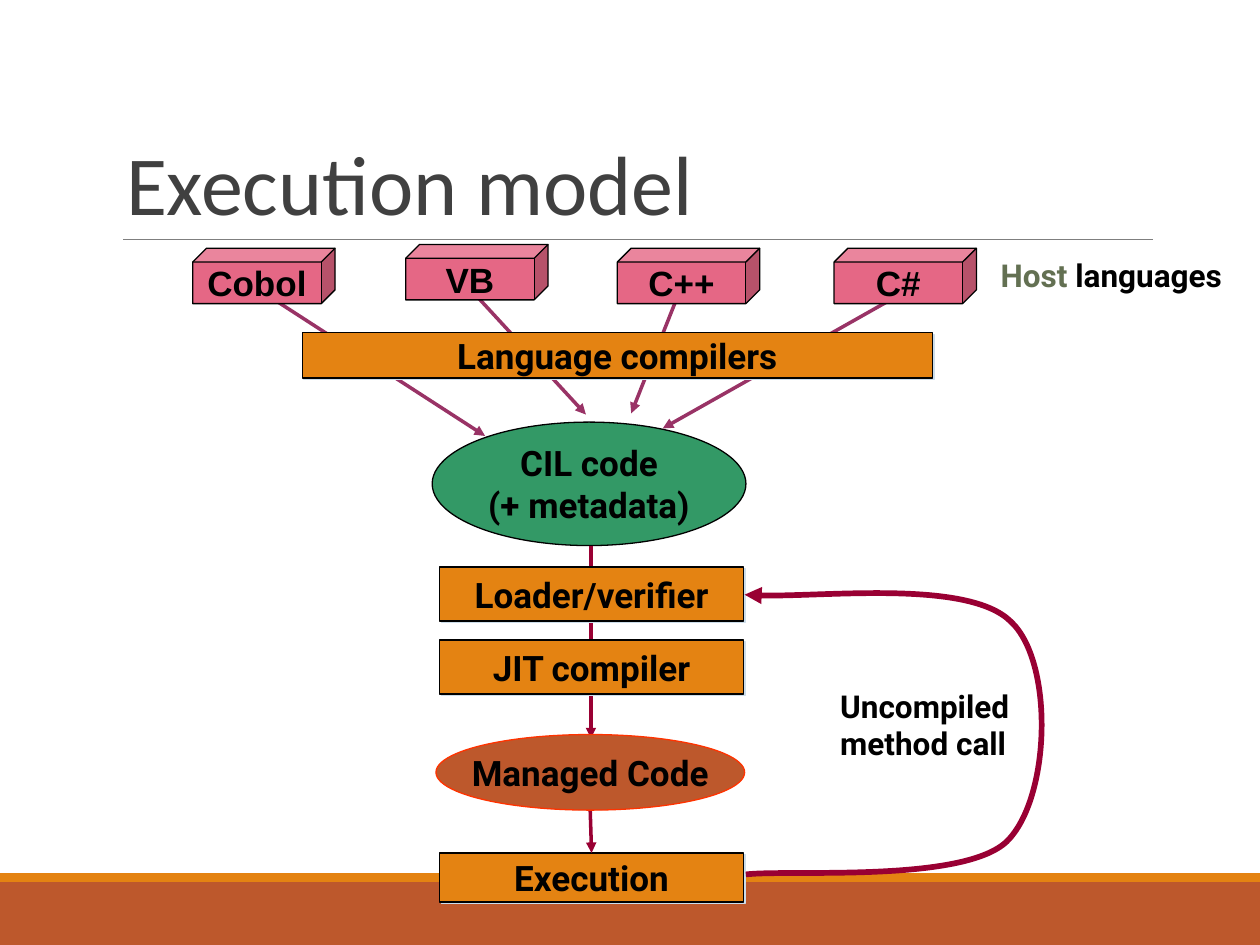
from lxml import etree
from pptx import Presentation
from pptx import util as u
from pptx.dml.color import RGBColor
from pptx.enum import shapes, text
from pptx.oxml.ns import qn

PX = 9144  # 100 px to the inch
BLACK, ORANGE, RUST = "000000", "E48312", "BD582C"
PINK, GREEN, PLUM, CRIMSON = "E56785", "339966", "993366", "990033"
SHAPE = shapes.MSO_SHAPE
CENTER = text.PP_ALIGN.CENTER


def px(*lengths):
    return [u.Emu(n * PX) for n in lengths]


def color(value):
    return RGBColor.from_string(value)


def write(frame, content, size=20, font="Roboto", ink=BLACK, bold=True, align=CENTER,
          anchor=text.MSO_ANCHOR.MIDDLE, wrap=False, spacing=None, lead=None):
    """Write lines of text; lead is a (text, colour) run before the first line."""
    frame.word_wrap = wrap
    frame.auto_size = text.MSO_AUTO_SIZE.NONE
    frame.vertical_anchor = anchor
    for index, line in enumerate(content.split("\n")):
        paragraph = frame.add_paragraph() if index else frame.paragraphs[0]
        paragraph.alignment = align
        paragraph.line_spacing = spacing
        runs = [(line, ink)]
        if lead and index == 0:
            runs.insert(0, lead)
        for words, run_color in runs:
            run = paragraph.add_run()
            run.text = words
            run.font.size, run.font.name, run.font.bold = u.Pt(size), font, bold
            run.font.color.rgb = color(run_color)


def add_block(slide, kind, at, fill, outline=BLACK, label=None, shadow=False, **style):
    block = slide.shapes.add_shape(kind, *px(*at))
    block.shadow.inherit = False
    block.fill.solid()
    block.fill.fore_color.rgb = color(fill)
    if outline:
        block.line.color.rgb = color(outline)
        block.line.width = u.Pt(0.75)
    else:
        block.line.fill.background()
    if shadow:
        effects = block.element.spPr.find(qn("a:effectLst"))
        outer = etree.SubElement(effects, qn("a:outerShdw"),
                                 dist=str(u.Pt(1.4)), dir="2700000", algn="ctr")
        etree.SubElement(outer, qn("a:srgbClr"), val="CCDDEA")
    if label:
        write(block.text_frame, label, **style)
    return block


def add_step(slide, at, label):
    return add_block(slide, SHAPE.RECTANGLE, at, ORANGE, label=label, shadow=True)


def add_note(slide, at, content, **style):
    box = slide.shapes.add_textbox(*px(*at))
    write(box.text_frame, content, size=18, anchor=text.MSO_ANCHOR.TOP, wrap=True, **style)


def style_line(shape, ink, width, arrow=True):
    shape.line.color.rgb = color(ink)
    shape.line.width = u.Pt(width)
    if arrow:
        etree.SubElement(shape.element.spPr.find(qn("a:ln")), qn("a:tailEnd"), type="triangle")


def add_line(slide, start, end, ink, width=2, arrow=True):
    line = slide.shapes.add_connector(shapes.MSO_CONNECTOR.STRAIGHT, *px(*start, *end))
    style_line(line, ink, width, arrow)
    etree.SubElement(line.element.spPr, qn("a:effectLst"))
    return line


def add_curve(slide, points, ink, width):
    """Start point, then three points for each Bézier segment."""
    builder = slide.shapes.build_freeform(*points[0], scale=PX)
    builder.add_line_segments(points[1:], close=False)
    curve = builder.convert_to_shape()
    curve.shadow.inherit = False
    curve.fill.background()
    style_line(curve, ink, width)
    # Group the straight segments by three into cubic ones
    segments = list(curve.element.iter(qn("a:lnTo")))
    for first in range(0, len(segments), 3):
        bezier = etree.Element(qn("a:cubicBezTo"))
        segments[first].addprevious(bezier)
        for segment in segments[first:first + 3]:
            bezier.append(segment[0])
            segment.getparent().remove(segment)


def add_title(slide, content):
    title = slide.shapes.title
    title.left, title.top, title.width, title.height = px(90, 31, 825, 159)
    write(title.text_frame, content, size=48, font="Calibri", ink="404040", bold=False,
          align=text.PP_ALIGN.LEFT, anchor=text.MSO_ANCHOR.BOTTOM, wrap=True, spacing=0.85)


def main():
    deck = Presentation()
    deck.slide_width, deck.slide_height = px(1000, 750)
    slide = deck.slides.add_slide(deck.slide_layouts[5])

    # Footer bands, title and rule
    add_block(slide, SHAPE.RECTANGLE, (0, 700, 1000, 50), RUST, outline=None)
    add_block(slide, SHAPE.RECTANGLE, (0, 693, 1000, 7), ORANGE, outline=None)
    add_title(slide, "Execution model")
    add_line(slide, (98, 190), (915, 190), "7F7F7F", width=0.5, arrow=False)

    # Languages, each with its arrow to the CIL code
    languages = [
        ("Cobol", (153, 197), (204, 229), (385, 346)),
        ("VB", (322, 194), (370, 226), (465, 329)),
        ("C++", (490, 197), (545, 217), (501, 328)),
        ("C#", (662, 197), (728, 226), (526, 340)),
    ]
    for name, corner, start, end in languages:
        add_line(slide, start, end, PLUM)
        add_block(slide, SHAPE.CUBE, (*corner, 113, 44), PINK, label=name, font="Arial")
    add_step(slide, (240, 264, 500, 36), "Language compilers")

    # From CIL code down to execution
    add_block(slide, SHAPE.OVAL, (343, 335, 249, 98), GREEN, label="CIL code\n(+ metadata)")
    add_line(slide, (469, 433), (469, 586), CRIMSON)
    add_step(slide, (349, 450, 241, 43), "Loader/verifier")
    add_step(slide, (349, 508, 241, 43), "JIT compiler")
    execution = add_step(slide, (349, 677, 241, 39), "Execution")
    run_arrow = add_line(slide, (468, 630), (470, 677), CRIMSON)
    run_arrow.end_connect(execution, 0)
    add_block(slide, SHAPE.OVAL, (346, 583, 245, 60), RUST, outline="FF3300",
              label="Managed Code")

    # Way back for methods not compiled yet
    add_curve(slide, [(592, 694), (626, 690), (764, 701), (799, 668),
                      (834, 634), (837, 525), (802, 493),
                      (768, 460), (635, 476), (591, 472)], CRIMSON, 3.25)

    # Notes
    add_note(slide, (657, 540, 214, 70), "Uncompiled\nmethod call",
             align=text.PP_ALIGN.LEFT)
    add_note(slide, (779, 198, 206, 70), " languages", lead=("Host", "637052"))

    deck.save("out.pptx")


if __name__ == "__main__":
    main()
